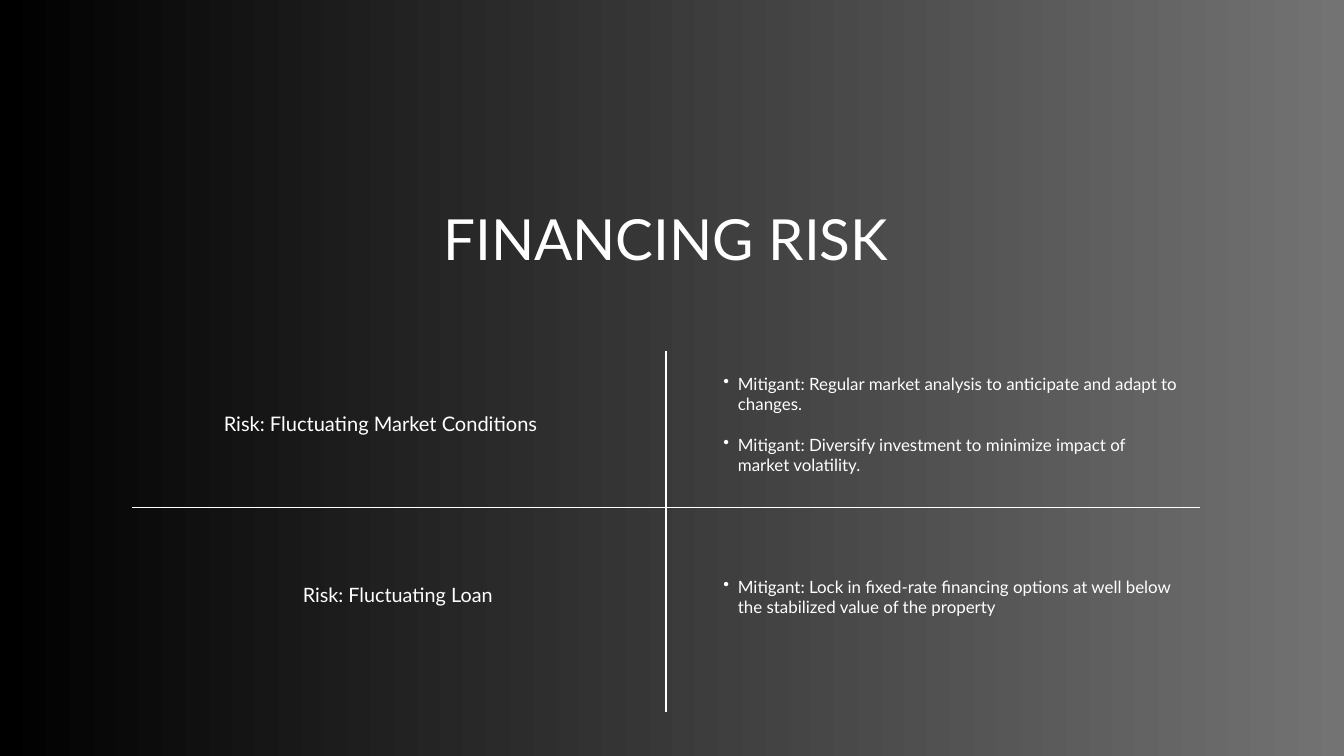
from dataclasses import dataclass

from lxml.etree import SubElement
from pptx import Presentation
from pptx.dml.color import RGBColor
from pptx.enum.shapes import MSO_CONNECTOR
from pptx.enum.text import MSO_AUTO_SIZE as AutoSize, PP_ALIGN as Align
from pptx.oxml.ns import qn
from pptx.util import Pt


@dataclass(frozen=True)
class Theme:
    font: str = "Lato"
    ink: RGBColor = RGBColor(0xFF, 0xFF, 0xFF)
    dark: RGBColor = RGBColor(0x00, 0x00, 0x00)
    grey: RGBColor = RGBColor(0x73, 0x73, 0x73)
    title: float = 60.7
    market_risk: float = 21.5
    loan_risk: float = 21.2
    mitigant: float = 18.1


theme = Theme()


def add_text(frame, lines, size, leading, align=Align.LEFT, bullet=False):
    """Add a box with one paragraph per line; bullets stand one line apart."""
    box = slide.shapes.add_textbox(*map(Pt, frame))
    text = box.text_frame
    text.word_wrap = True
    text.auto_size = AutoSize.SHAPE_TO_FIT_TEXT
    text.margin_left = text.margin_top = text.margin_right = text.margin_bottom = 0
    for index, line in enumerate(lines):
        para = text.add_paragraph() if index else text.paragraphs[0]
        para.alignment = align
        para.line_spacing = Pt(leading)
        if index:
            para.space_before = Pt(leading)
        if bullet:
            para.level = 1
            props = para._p.get_or_add_pPr()
            props.set("marL", str(Pt(31)))
            props.set("indent", str(Pt(-15.5)))
            SubElement(props, qn("a:buChar")).set("char", "•")
        span = para.add_run()
        span.text = line
        span.font.name = theme.font
        span.font.size = Pt(size)
        span.font.color.rgb = theme.ink


deck = Presentation()
deck.slide_width, deck.slide_height = Pt(1440), Pt(810)
slide = deck.slides.add_slide(deck.slide_layouts[6])

backdrop = slide.background.fill
backdrop.gradient()
backdrop.gradient_angle = 0
for stop, color in zip(backdrop.gradient_stops, (theme.dark, theme.grey)):
    stop.color.rgb = color

# Title
add_text((68.4, 236.2, 1290.2, 59), ["FINANCING RISK"], theme.title, 54.6, Align.CENTER)

# Risks
add_text((239.8, 440.6, 427.7, 25.2), ["Risk: Fluctuating Market Conditions"],
         theme.market_risk, 25.8)
add_text((212.4, 630, 427.7, 20.9), ["Risk: Fluctuating Loan"],
         theme.loan_risk, 20.2, Align.CENTER)

# Mitigants
mitigants = [
    (400.3, 105.1, ["Mitigant: Regular market analysis to anticipate and adapt to changes.",
                    "Mitigant: Diversify investment to minimize impact of market volatility."]),
    (617.8, 41.8, ["Mitigant: Lock in fixed-rate financing options at well below "
                   "the stabilized value of the property"]),
]
for top, height, lines in mitigants:
    add_text((759.6, top, 505.4, height), lines, theme.mitigant, 21.7, bullet=True)

# Dividing cross
for ends in [(141.8, 543.6, 1285.9, 543.6), (713.5, 763.2, 713.5, 376.6)]:
    divider = slide.shapes.add_connector(MSO_CONNECTOR.STRAIGHT, *map(Pt, ends))
    divider.line.color.rgb = theme.ink
    divider.line.width = Pt(1.5)
    SubElement(divider._element.spPr, qn("a:effectLst"))

deck.save("out.pptx")
